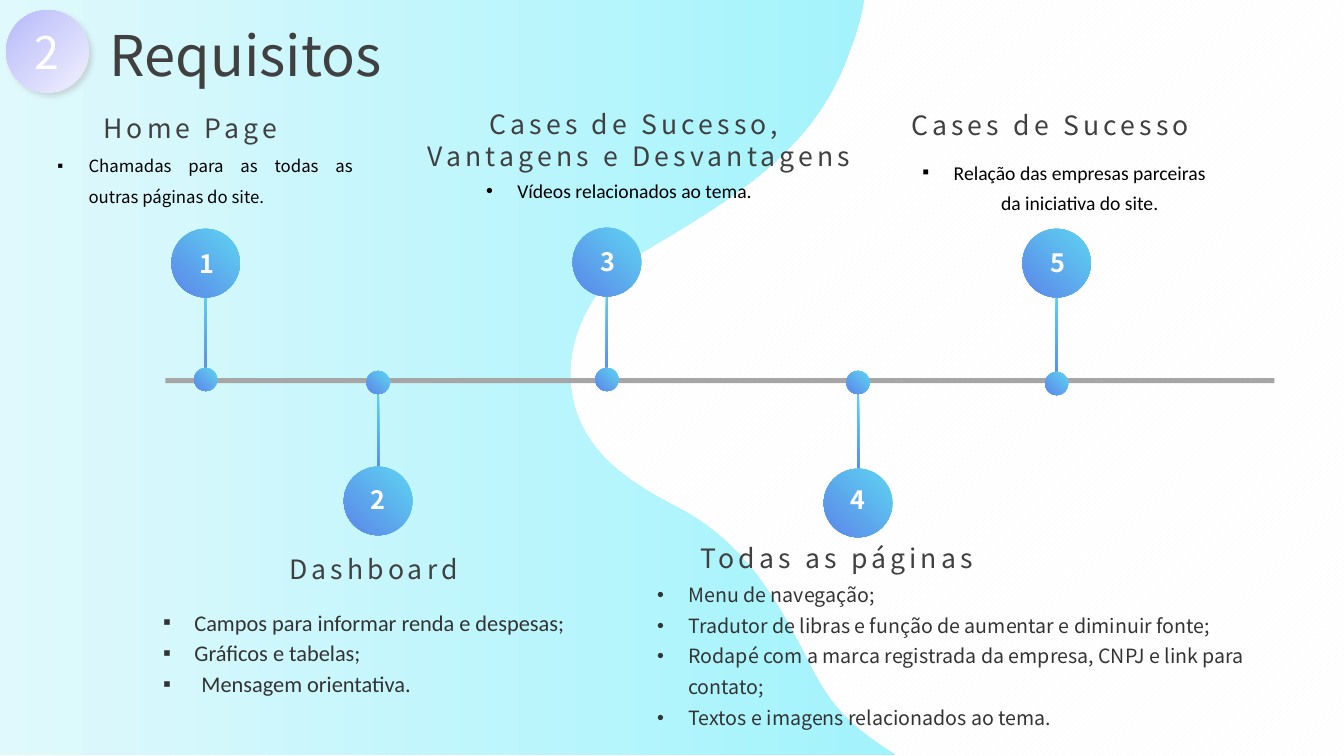
import pptx
import pptx.util
import pptx.dml.color
import pptx.enum.dml
import pptx.enum.shapes
import pptx.enum.text
import pptx.oxml
import pptx.oxml.ns

Inches, Pt = pptx.util.Inches, pptx.util.Pt
SHAPE = pptx.enum.shapes.MSO_SHAPE
ALIGN = pptx.enum.text.PP_ALIGN
ANCHOR = pptx.enum.text.MSO_ANCHOR
NOTO, CALIBRI = "Noto Sans CJK SC", "Calibri"

COLORS = {
    "white": "FFFFFF", "hatch": "F7F7F7", "wave_left": "E0F9FC", "wave_right": "A2F3FC",
    "axis": "A6A6A6", "marker_light": "5ED4F1", "marker_dark": "5B87E9",
    "badge_light": "F1F1FE", "badge_dark": "B7BAF9",
    "heading": "404040", "body": "333333", "black": "000000", "shadow": "A6A6A6",
}

TITLE, SECTION = "Requisitos", "2"

# Wave edge: start point, then Bezier segments (control, control, end)
WAVE_START = (8.05, 6.63)
WAVE_CURVES = [
    ((7.71, 5.96), (7.4, 5.39), (6.71, 5.03)),
    ((6.23, 4.78), (5.72, 4.46), (5.66, 3.82)),
    ((5.61, 3.3), (5.92, 2.77), (6.36, 2.51)),
    ((7.19, 2.01), (8.07, 1.53), (8.42, 0.52)),
    ((8.47, 0.39), (8.55, 0.16), (8.57, -0.03)),
    ((-0.04, -0.03), (-0.04, -0.03), (-0.04, -0.03)),
    ((-0.04, 0.57), (-0.04, 7.49), (-0.04, 7.49)),
    ((8.88, 7.49), (8.88, 7.49), (8.88, 7.49)),
    ((8.5, 7.25), (8.26, 7.05), (8.05, 6.63)),
]

# Number, centre x, top of the dot, top of the circle, left and top of the number
MARKERS = [
    ("1", 2.04, 3.65, 2.27, 1.86, 2.36),
    ("2", 3.75, 3.68, 4.63, 3.56, 4.7),
    ("3", 6.02, 3.65, 2.26, 5.84, 2.34),
    ("4", 8.51, 3.68, 4.65, 8.32, 4.71),
    ("5", 10.48, 3.69, 2.27, 10.3, 2.35),
]
CIRCLE, DOT, STEM_W = 0.68, 0.23, 0.02
NUMBER_W, NUMBER_H = 0.38, 0.5

# Heading lines and box
HEADINGS = [
    (["Home Page"], (0.86, 1.06, 2.06, 0.42)),
    (["Dashboard"], (2.72, 5.44, 1.97, 0.42)),
    (["Cases de Sucesso, ", "Vantagens e Desvantagens"], (3.74, 1.02, 5.2, 0.74)),
    (["Cases de Sucesso"], (8.87, 1.03, 3.09, 0.42)),
    (["Todas as páginas"], (6.79, 5.33, 3.02, 0.42)),
]

# Bulleted lines, box, bullet, font, size, colour, alignment
BODIES = [
    (["Chamadas para as todas as outras páginas do site."],
     (0.47, 1.39, 3.13, 0.68), "▪", NOTO, 12, "black", ALIGN.JUSTIFY),
    (["Campos para informar renda e despesas;", "Gráficos e tabelas;", "Mensagem orientativa."],
     (1.52, 5.95, 4.31, 1.31), "▪", CALIBRI, 16, "body", ALIGN.LEFT),
    (["Vídeos relacionados ao tema."],
     (4.38, 1.65, 3.52, 0.66), "•", CALIBRI, 14, "black", ALIGN.CENTER),
    (["Relação das empresas parceiras da iniciativa do site."],
     (8.99, 1.47, 3.13, 0.69), "▪", CALIBRI, 14, "black", ALIGN.CENTER),
    (["Menu de navegação;",
      "Tradutor de libras e função de aumentar e diminuir fonte;",
      "Rodapé com a marca registrada da empresa, CNPJ e link para contato;",
      "Textos e imagens relacionados ao tema."],
     (6.42, 5.66, 6.23, 1.92), "•", NOTO, 14, "body", ALIGN.LEFT),
]
INDENT, WIDE_INDENT = 0.31, 0.38


def rgb(name):
    return pptx.dml.color.RGBColor.from_string(COLORS[name])


def xml(tag, attributes="", inner=""):
    return pptx.oxml.parse_xml(
        f'<a:{tag} {pptx.oxml.ns.nsdecls("a")} {attributes}>{inner}</a:{tag}>')


def gradient(sp, first, last, angle, end=1.0):
    sp.fill.gradient()
    sp.fill.gradient_angle = angle
    for stop, name, position in zip(sp.fill.gradient_stops, (first, last), (0, end)):
        stop.color.rgb = rgb(name)
        stop.position = position


def add_shape(kind, x, y, w, h):
    sp = slide.shapes.add_shape(kind, Inches(x), Inches(y), Inches(w), Inches(h))
    sp.shadow.inherit = False
    sp.line.fill.background()
    return sp


def add_marker_part(kind, x, y, w, h):
    sp = add_shape(kind, x, y, w, h)
    gradient(sp, "marker_light", "marker_dark", 225, 0.99)


def write(tf, lines, font, size, color, align, bold=False, spacing=None):
    tf.text = "\n".join(lines)
    for p in tf.paragraphs:
        p.alignment = align
        for r in p.runs:
            r.font.name, r.font.size, r.font.bold = font, Pt(size), bold
            r.font.color.rgb = rgb(color)
            rPr = r.font._element
            if spacing:
                rPr.set("spc", str(spacing * 100))
            rPr.find(pptx.oxml.ns.qn("a:latin")).addnext(xml("ea", f'typeface="{font}"'))


def add_text(box, lines, *style, wrap=True, **options):
    tf = slide.shapes.add_textbox(*map(Inches, box)).text_frame
    tf.word_wrap = wrap
    write(tf, lines, *style, **options)
    return tf


def add_bullet(p, bullet, indent):
    p.line_spacing = Pt(22)
    pPr = p._p.get_or_add_pPr()
    pPr.set("marL", str(Inches(indent)))
    pPr.set("indent", str(-Inches(indent)))
    pPr.append(xml("buFont", 'typeface="Arial"'))
    pPr.append(xml("buChar", f'char="{bullet}"'))


def add_curve_shape(start, curves):
    """Outline through the segment ends, with each side bent into its Bezier curve."""
    builder = slide.shapes.build_freeform(*map(Inches, start))
    builder.add_line_segments([tuple(map(Inches, c[-1])) for c in curves], close=True)
    sp = builder.convert_to_shape()
    sides = list(sp._element.iter(pptx.oxml.ns.qn("a:lnTo")))
    for side, curve in zip(sides, curves):
        points = "".join(
            f'<a:pt x="{Inches(x) - sp.left}" y="{Inches(y) - sp.top}"/>' for x, y in curve)
        side.getparent().replace(side, xml("cubicBezTo", inner=points))
    sp.shadow.inherit = False
    sp.line.fill.background()
    return sp


prs = pptx.Presentation()
prs.slide_width, prs.slide_height = Inches(13.33), Inches(7.5)
slide = prs.slides.add_slide(prs.slide_layouts[6])

# Hatched background
hatch = add_shape(SHAPE.RECTANGLE, 0, -0.02, 13.34, 7.53)
hatch.fill.patterned()
hatch.fill.pattern = pptx.enum.dml.MSO_PATTERN.WIDE_UPWARD_DIAGONAL
hatch.fill.fore_color.rgb, hatch.fill.back_color.rgb = rgb("hatch"), rgb("white")

# Wave
wave = add_curve_shape(WAVE_START, WAVE_CURVES)
gradient(wave, "wave_left", "wave_right", 0)

# Timeline axis
axis = add_shape(SHAPE.RECTANGLE, 1.64, 3.75, 11, 0.05)
axis.fill.solid()
axis.fill.fore_color.rgb = rgb("axis")

# Markers: stem, dot, circle and number
for number, x, dot_y, circle_y, number_x, number_y in MARKERS:
    above = circle_y < dot_y
    stem_y, stem_h = (dot_y - 0.8, 0.91) if above else (dot_y + 0.22, 0.8)
    add_marker_part(SHAPE.RECTANGLE, x - STEM_W / 2, stem_y, STEM_W, stem_h)
    add_marker_part(SHAPE.OVAL, x - DOT / 2, dot_y, DOT, DOT)
    add_marker_part(SHAPE.OVAL, x - CIRCLE / 2, circle_y, CIRCLE, CIRCLE)
    tf = add_text((number_x, number_y, NUMBER_W, NUMBER_H), [number],
                  NOTO, 18, "white", ALIGN.CENTER, bold=True)
    tf.vertical_anchor = ANCHOR.MIDDLE

# Headings and bulleted texts
for lines, box in HEADINGS:
    add_text(box, lines, NOTO, 19, "heading", ALIGN.CENTER, wrap=len(lines) > 1, spacing=3)
for lines, box, bullet, *style in BODIES:
    for p in add_text(box, lines, *style).paragraphs:
        add_bullet(p, bullet, WIDE_INDENT if p.text.startswith("Mensagem") else INDENT)

# Title and section badge
add_text((0.96, 0.15, 2.95, 0.77), [TITLE], NOTO, 40, "heading", ALIGN.CENTER, wrap=False)
badge = add_shape(SHAPE.OVAL, 0.06, 0.1, 0.82, 0.82)
gradient(badge, "badge_light", "badge_dark", 135, 0.99)
badge._element.spPr.find(pptx.oxml.ns.qn("a:effectLst")).append(xml(
    "outerShdw", f'blurRad="{Pt(4)}" dist="{Pt(3)}" dir="2700000"',
    f'<a:srgbClr val="{COLORS["shadow"]}"><a:alpha val="40000"/></a:srgbClr>'))
badge.text_frame.vertical_anchor = ANCHOR.MIDDLE
write(badge.text_frame, [SECTION], NOTO, 32, "white", ALIGN.CENTER)

prs.save("out.pptx")
